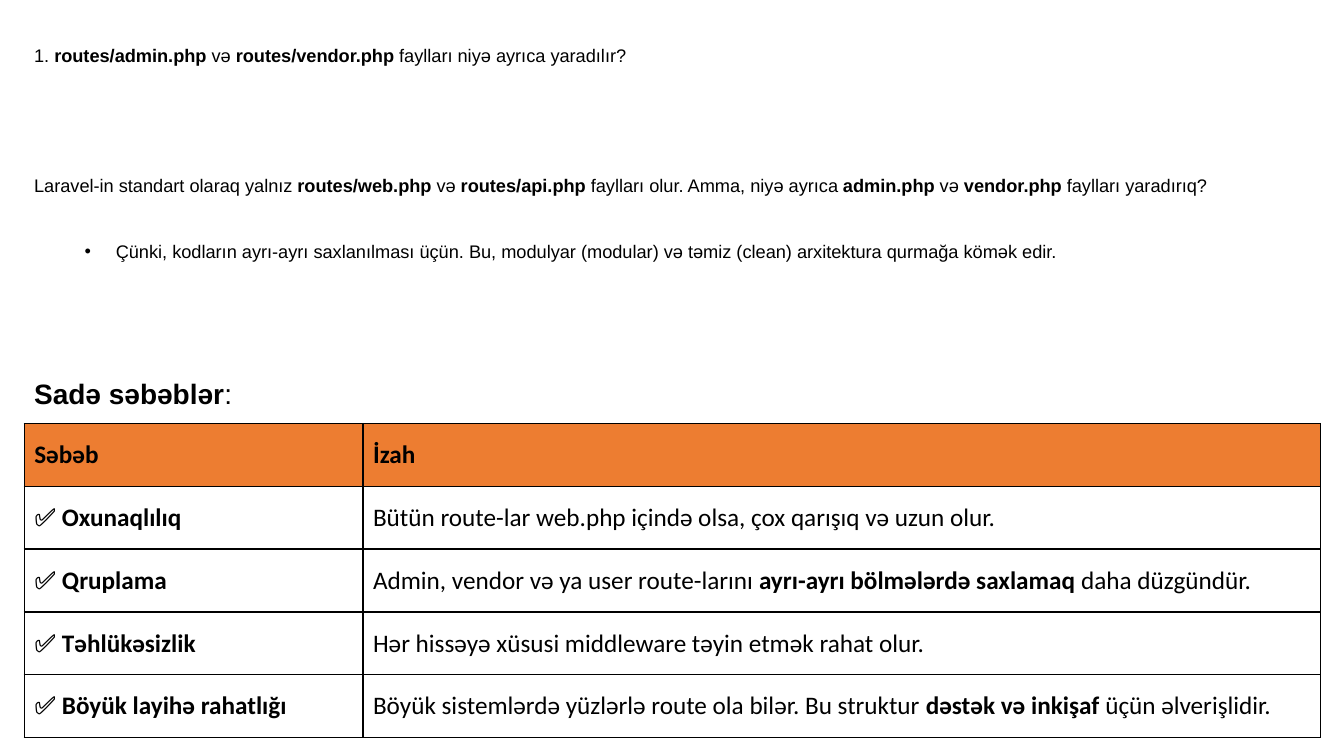
from lxml import etree
from pptx import Presentation
from pptx.dml.color import RGBColor
from pptx.enum.text import MSO_ANCHOR as Anchor
from pptx.oxml.ns import qn
from pptx.util import Inches, Pt

BLACK = RGBColor(0x00, 0x00, 0x00)
ORANGE = RGBColor(0xED, 0x7D, 0x31)

LEFT, WIDTH = 0.24, 12.86
LINE_GAP = 23.3  # points of one line in the explanation
BOLD_MARK = "**"

# Text, size, gap before in lines, bulleted
EXPLANATION = [
    ("1. **routes/admin.php **və **routes/vendor.php **faylları niyə ayrıca yaradılır?",
     13, 0, False),
    ("Laravel-in standart olaraq yalnız **routes/web.php **və **routes/api.php **"
     "faylları olur. Amma, niyə ayrıca **admin.php **və **vendor.php **faylları yaradırıq?",
     13, 3, False),
    ("Çünki, kodların ayrı-ayrı saxlanılması üçün. Bu, modulyar (modular) və təmiz "
     "(clean) arxitektura qurmağa kömək edir.", 13, 1, True),
    ("**Sadə səbəblər**:", 20, 3, False),
]

REASONS = [
    ("**Səbəb**", "**İzah**"),
    ("**✅ Oxunaqlılıq**",
     "Bütün route-lar web.php içində olsa, çox qarışıq və uzun olur."),
    ("**✅ Qruplama**",
     "Admin, vendor və ya user route-larını **ayrı-ayrı bölmələrdə saxlamaq** daha düzgündür."),
    ("**✅ Təhlükəsizlik**",
     "Hər hissəyə xüsusi middleware təyin etmək rahat olur."),
    ("**✅ Böyük layihə rahatlığı**",
     "Böyük sistemlərdə yüzlərlə route ola bilər. Bu struktur **dəstək və inkişaf** "
     "üçün əlverişlidir."),
]


def add_runs(paragraph, text, font_name, size):
    """Add text run by run; parts between marks are bold."""
    for index, part in enumerate(text.split(BOLD_MARK)):
        if part:
            run = paragraph.add_run()
            run.text = part
            run.font.name = font_name
            run.font.size = Pt(size)
            run.font.bold = index % 2 == 1
            run.font.color.rgb = BLACK


def add_bullet(paragraph):
    properties = paragraph._p.get_or_add_pPr()
    properties.set("marL", str(Inches(0.81)))
    properties.set("indent", str(Inches(-0.31)))
    etree.SubElement(properties, qn("a:buFont")).set("typeface", "Arial")
    etree.SubElement(properties, qn("a:buChar")).set("char", "•")


def add_border(cell):
    properties = cell._tc.get_or_add_tcPr()
    for position, side in enumerate(("a:lnL", "a:lnR", "a:lnT", "a:lnB")):
        line = etree.Element(qn(side), w=str(Pt(1)))
        fill = etree.SubElement(line, qn("a:solidFill"))
        etree.SubElement(fill, qn("a:srgbClr")).set("val", str(BLACK))
        properties.insert(position, line)


def add_explanation(slide, left, top, width, height):
    box = slide.shapes.add_textbox(Inches(left), Inches(top), Inches(width), Inches(height))
    frame = box.text_frame
    frame.word_wrap = True
    for index, (text, size, gap_lines, bulleted) in enumerate(EXPLANATION):
        paragraph = frame.add_paragraph() if index else frame.paragraphs[0]
        paragraph.line_spacing = 1.5
        if gap_lines:
            paragraph.space_before = Pt(gap_lines * LINE_GAP)
        if bulleted:
            add_bullet(paragraph)
        add_runs(paragraph, text, "Arial", size)


def add_reason_table(slide, left, top, width, height):
    table = slide.shapes.add_table(len(REASONS), 2, Inches(left), Inches(top),
                                   Inches(width), Inches(height)).table
    reason_width = 3.36
    table.columns[0].width = Inches(reason_width)
    table.columns[1].width = Inches(width - reason_width)
    table.horz_banding = False
    for row_index, texts in enumerate(REASONS):
        for column_index, text in enumerate(texts):
            cell = table.cell(row_index, column_index)
            cell.vertical_anchor = Anchor.MIDDLE
            if row_index == 0:
                cell.fill.solid()
                cell.fill.fore_color.rgb = ORANGE
            else:
                cell.fill.background()
            add_border(cell)
            add_runs(cell.text_frame.paragraphs[0], text, "Calibri", 18)


def main():
    presentation = Presentation()
    presentation.slide_width = Inches(13.33)
    presentation.slide_height = Inches(7.5)
    blank_layout = presentation.slide_layouts[6]
    slide = presentation.slides.add_slide(blank_layout)

    # Question and answer above, reasons below
    add_explanation(slide, LEFT, 0.28, WIDTH, 3.83)
    add_reason_table(slide, LEFT, 4.2, WIDTH, 3.12)

    presentation.save("out.pptx")


if __name__ == "__main__":
    main()
